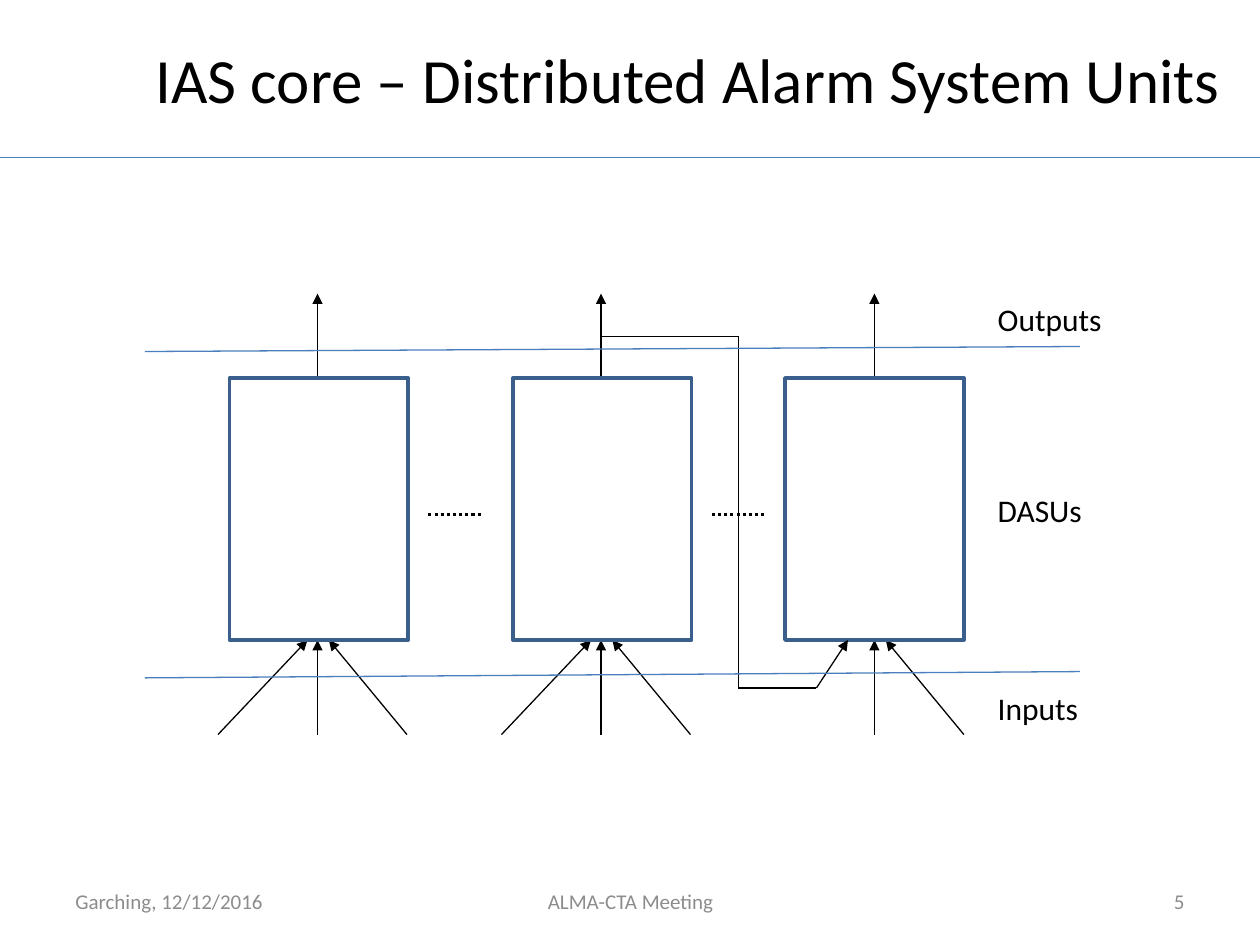
"""Build the slide showing distributed alarm system units with inputs and outputs."""
from dataclasses import dataclass
from typing import Optional

import lxml.etree
import pptx
import pptx.dml.color
import pptx.enum.dml
import pptx.enum.shapes
import pptx.enum.text
import pptx.oxml.ns
import pptx.util

Inches = pptx.util.Inches
ALIGN = pptx.enum.text.PP_ALIGN
ANCHOR = pptx.enum.text.MSO_ANCHOR
COLORS = {"text": "000000", "arrow": "000000", "rule": "4B7EBC",
          "box": "3A5F8C", "footer": "8C8C8C"}
BOX_TOP, BOX_W, BOX_H = 3, 1.42, 2.08
BOX_BOTTOM = BOX_TOP + BOX_H
INPUT_Y, OUTPUT_Y = 5.83, 2.33


@dataclass
class Line:
    x1: float
    y1: float
    x2: float
    y2: float
    color: str = "arrow"
    width: float = 0.75
    arrow: bool = False
    dotted: bool = False


@dataclass
class Unit:
    left: float
    center: float
    left_input: bool = True


@dataclass
class Label:
    text: str
    x: float
    y: float
    w: float
    size: float = 18
    color: str = "text"
    align: ALIGN = ALIGN.LEFT
    anchor: ANCHOR = ANCHOR.TOP
    wrap: bool = False


UNITS = [Unit(1.82, 2.52), Unit(4.07, 4.77), Unit(6.23, 6.94, left_input=False)]
FEEDBACK = [(4.77, 2.67), (5.86, 2.67), (5.86, 5.46), (6.48, 5.46), (6.73, BOX_BOTTOM)]
FOOTER = dict(size=12, color="footer", anchor=ANCHOR.MIDDLE, wrap=True)
LABELS = [
    Label("Outputs", 7.82, 2.33, 1.03),
    Label("DASUs", 7.82, 3.85, 0.87),
    Label("Inputs", 7.82, 5.42, 0.85),
    Label("Garching, 12/12/2016", 0.5, 6.95, 2.33, **FOOTER),
    Label("ALMA-CTA Meeting", 3.42, 6.95, 3.17, align=ALIGN.CENTER, **FOOTER),
    Label("5", 7.17, 6.95, 2.33, align=ALIGN.RIGHT, **FOOTER),
]


def rgb(name: str) -> pptx.dml.color.RGBColor:
    return pptx.dml.color.RGBColor.from_string(COLORS[name])


def add_line(s: pptx.slide.Slide, line: Line) -> None:
    c = s.shapes.add_connector(
        pptx.enum.shapes.MSO_CONNECTOR.STRAIGHT,
        *map(Inches, (line.x1, line.y1, line.x2, line.y2)))
    c.line.color.rgb = rgb(line.color)
    c.line.width = pptx.util.Pt(line.width)
    if line.dotted:
        c.line.dash_style = pptx.enum.dml.MSO_LINE.ROUND_DOT
    qn = pptx.oxml.ns.qn
    if line.arrow:
        ln = c.line._get_or_add_ln()
        lxml.etree.SubElement(ln, qn("a:tailEnd"), type="triangle")
    lxml.etree.SubElement(c._element.spPr, qn("a:effectLst"))


def add_text(tf: pptx.text.text.TextFrame, label: Label) -> None:
    tf.auto_size = pptx.enum.text.MSO_AUTO_SIZE.NONE
    tf.word_wrap = label.wrap
    tf.vertical_anchor = label.anchor
    p = tf.paragraphs[0]
    p.alignment = label.align
    r = p.add_run()
    r.text = label.text
    r.font.name = "Calibri"
    r.font.size = pptx.util.Pt(label.size)
    r.font.color.rgb = rgb(label.color)


def add_label(s: pptx.slide.Slide, label: Label) -> None:
    box = s.shapes.add_textbox(*map(Inches, (label.x, label.y, label.w, 0.4)))
    add_text(box.text_frame, label)


def add_unit(s: pptx.slide.Slide, unit: Unit) -> None:
    x = unit.center
    inputs = [(x, x), (x + 0.71, x + 0.09)]
    if unit.left_input:
        inputs.insert(0, (x - 0.79, x - 0.08))
    for start, end in inputs:
        add_line(s, Line(start, INPUT_Y, end, BOX_BOTTOM, arrow=True))
    add_line(s, Line(x, BOX_TOP, x, OUTPUT_Y, arrow=True))
    sp = s.shapes.add_shape(pptx.enum.shapes.MSO_SHAPE.RECTANGLE,
                            *map(Inches, (unit.left, BOX_TOP, BOX_W, BOX_H)))
    sp.shadow.inherit = False
    sp.fill.background()
    sp.line.color.rgb = rgb("box")
    sp.line.width = pptx.util.Pt(2)


def add_title(s: pptx.slide.Slide, text: str) -> None:
    title: Optional[pptx.shapes.base.BaseShape] = s.shapes.title
    title.left, title.top, title.width, title.height = map(Inches, (1, 0, 8.92, 1.25))
    add_text(title.text_frame, Label(text, 1, 0, 8.92, size=36, align=ALIGN.CENTER,
                                     anchor=ANCHOR.MIDDLE, wrap=True))


def main() -> None:
    prs = pptx.Presentation()
    prs.slide_width, prs.slide_height = Inches(10), Inches(7.5)
    s = prs.slides.add_slide(prs.slide_layouts[5])
    add_line(s, Line(0, 1.25, 10, 1.25, "rule"))
    add_title(s, "IAS core – Distributed Alarm System Units")
    for unit in UNITS:
        add_unit(s, unit)
    for unit in UNITS[:2]:
        x = unit.left + 1.58
        add_line(s, Line(x, 4.08, x + 0.42, 4.08, width=1.75, dotted=True))
    for start, end in zip(FEEDBACK, FEEDBACK[1:]):
        add_line(s, Line(*start, *end, arrow=end == FEEDBACK[-1]))
    for y1, y2 in ((2.79, 2.75), (5.38, 5.33)):
        add_line(s, Line(1.15, y1, 8.57, y2, "rule"))
    for label in LABELS:
        add_label(s, label)
    prs.save("out.pptx")


if __name__ == "__main__":
    main()
